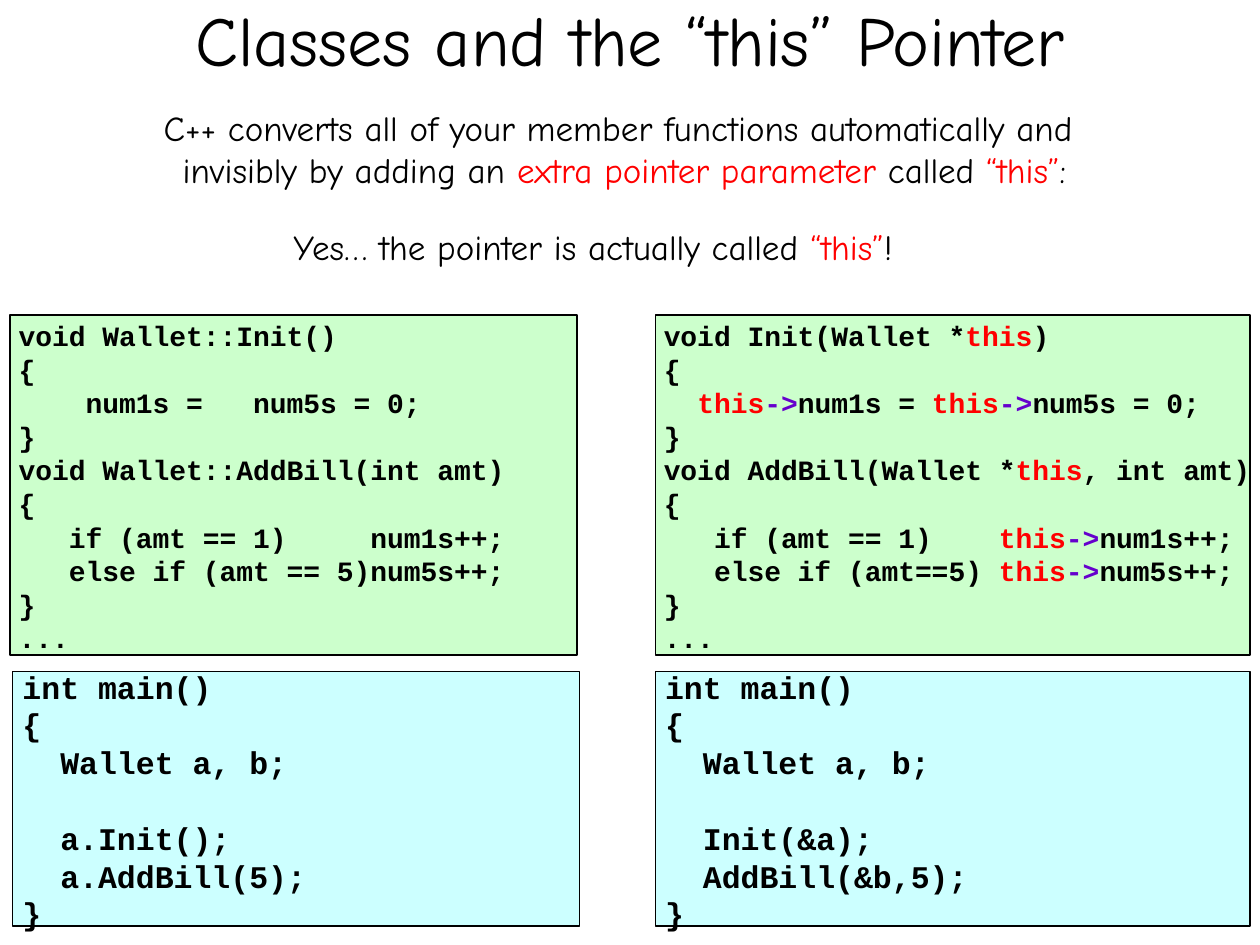
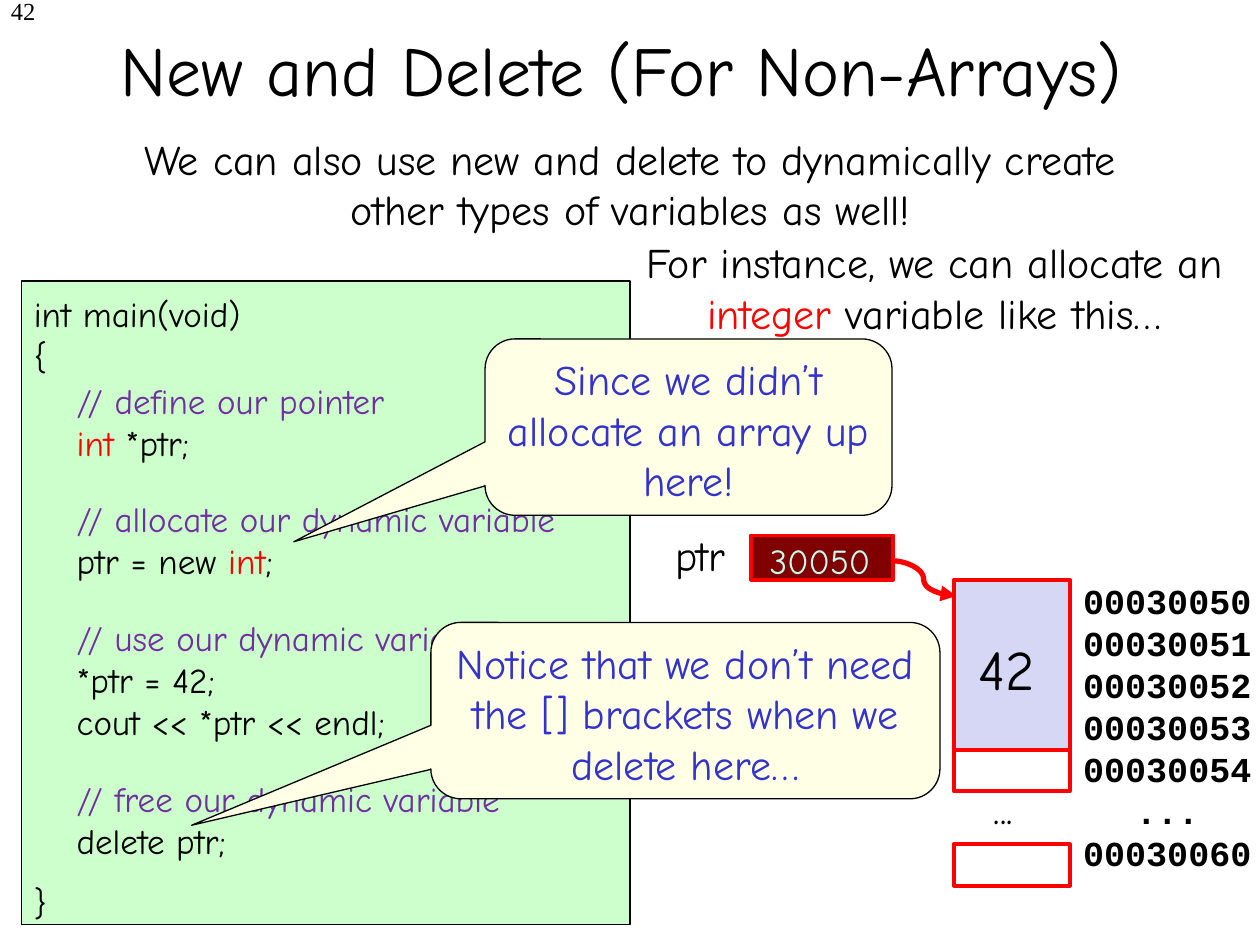
from dataclasses import dataclass
from typing import NamedTuple

import pptx
import pptx.dml.color
import pptx.enum.shapes
import pptx.enum.text
import pptx.oxml
import pptx.oxml.ns
import pptx.util

Inches = pptx.util.Inches
Pt = pptx.util.Pt
RGBColor = pptx.dml.color.RGBColor
Align = pptx.enum.text.PP_ALIGN
Anchor = pptx.enum.text.MSO_ANCHOR
Shape = pptx.enum.shapes.MSO_SHAPE

BLACK = RGBColor(0x00, 0x00, 0x00)
RED = RGBColor(0xFF, 0x00, 0x00)
VIOLET = RGBColor(0x66, 0x00, 0xCC)
PURPLE = RGBColor(0x70, 0x30, 0xA0)
BLUE = RGBColor(0x33, 0x33, 0xCC)
MINT = RGBColor(0xC2, 0xFF, 0xF0)
GREEN = RGBColor(0xCC, 0xFF, 0xCC)
CYAN = RGBColor(0xCC, 0xFF, 0xFF)
CREAM = RGBColor(0xFF, 0xFF, 0xE5)
MAROON = RGBColor(0x80, 0x00, 0x00)
LAVENDER = RGBColor(0xD6, 0xD6, 0xF5)

HAND = "Comic Neue"
CODE = "Courier New"
SERIF = "Times New Roman"


class Run(NamedTuple):
    text: str
    color: RGBColor = BLACK


class Para(NamedTuple):
    runs: tuple[Run, ...]
    before: float = 0


class Rect(NamedTuple):
    left: float
    top: float
    width: float
    height: float

    def lengths(self) -> list[pptx.util.Length]:
        return [Inches(v) for v in self]


@dataclass
class Style:
    size: float
    font: str = HAND
    bold: bool = False
    align: Align = Align.LEFT


@dataclass
class Text:
    rect: Rect
    paras: list[Para]
    style: Style
    side_margin: float = 0.1


@dataclass
class Box:
    rect: Rect
    fill: RGBColor | None
    line: RGBColor = BLACK
    weight: float = 0.75


@dataclass
class Callout:
    rect: Rect
    text: str


THIS = Run("this", RED)
ARROW = Run("->", VIOLET)
BREAK = Run("\n")

BODY = Style(20)
BODY_CENTER = Style(20, align=Align.CENTER)
LEAD = Style(24, align=Align.CENTER)
TITLE = Style(40, align=Align.CENTER)
FUNCTIONS = Style(16, CODE, True)
MAIN = Style(18, CODE, True)
ADDRESS = Style(20, CODE, True, Align.CENTER)


def para(*runs: Run | str, before: float = 0) -> Para:
    return Para(tuple(Run(r) if isinstance(r, str) else r for r in runs), before)


def lines(*texts: str) -> list[Para]:
    return [para(t) for t in texts]


def write(tf, paras: list[Para], style: Style) -> None:
    for i, item in enumerate(paras):
        p = tf.paragraphs[0] if i == 0 else tf.add_paragraph()
        p.alignment = style.align
        p.space_before = Pt(item.before)
        for run in item.runs:
            if run == BREAK:
                p.add_line_break()
                continue
            r = p.add_run()
            r.text = run.text
            r.font.name = style.font
            r.font.size = Pt(style.size)
            r.font.bold = style.bold
            r.font.color.rgb = run.color


def add_title(prs, text: str, rect: Rect, anchor: Anchor):
    slide = prs.slides.add_slide(prs.slide_layouts[5])
    sp = slide.shapes.title
    sp.left, sp.top, sp.width, sp.height = rect.lengths()
    tf = sp.text_frame
    tf.auto_size = pptx.enum.text.MSO_AUTO_SIZE.NONE
    tf.vertical_anchor = anchor
    write(tf, lines(text), TITLE)
    return slide


def add_text(slide, text: Text) -> None:
    tf = slide.shapes.add_textbox(*text.rect.lengths()).text_frame
    tf.word_wrap = True
    tf.margin_left = tf.margin_right = Inches(text.side_margin)
    write(tf, text.paras, text.style)


def add_box(slide, box: Box, kind: Shape = Shape.RECTANGLE):
    sp = slide.shapes.add_shape(kind, *box.rect.lengths())
    sp.shadow.inherit = False
    if box.fill is None:
        sp.fill.background()
    else:
        sp.fill.solid()
        sp.fill.fore_color.rgb = box.fill
    sp.line.color.rgb = box.line
    sp.line.width = Pt(box.weight)
    return sp


def add_callout(slide, callout: Callout) -> None:
    sp = add_box(slide, Box(callout.rect, CREAM), Shape.ROUNDED_RECTANGULAR_CALLOUT)
    for i, value in enumerate((-0.97, 0.65, 0.17)):
        sp.adjustments[i] = value
    tf = sp.text_frame
    tf.word_wrap = True
    tf.vertical_anchor = Anchor.TOP
    write(tf, [para(Run(callout.text, BLUE))], LEAD)


def add_pointer_arrow(slide) -> None:
    curve = pptx.enum.shapes.MSO_CONNECTOR.CURVE
    ends = [Inches(v) for v in (7.07, 4.45, 7.59, 4.73)]
    cx = slide.shapes.add_connector(curve, *ends)
    cx.line.color.rgb = RED
    cx.line.width = Pt(3)
    ln = cx.line._get_or_add_ln()
    ns = pptx.oxml.ns.nsdecls("a")
    ln.append(pptx.oxml.parse_xml(f'<a:tailEnd {ns} type="triangle"/>'))
    ln.getparent().append(pptx.oxml.parse_xml(f"<a:effectLst {ns}/>"))


def main_code(*calls: str) -> list[Para]:
    first, second = calls
    return [
        *lines("int main()", "{", "  Wallet a, b;"),
        para(f"  {first}", before=21.6),
        *lines(f"  {second}", "}"),
    ]


def build_this_slide(prs) -> None:
    slide = add_title(prs, "Classes and the “this” Pointer",
                      Rect(0.75, -0.08, 8.5, 1.25), Anchor.TOP)
    member_code = lines(
        "void Wallet::Init()", "{", "    num1s =   num5s = 0;", "}",
        "void Wallet::AddBill(int amt)", "{",
        "   if (amt == 1)     num1s++;",
        "   else if (amt == 5)num5s++;", "}", "...",
    )
    converted_code = [
        para("void Init(Wallet *", THIS, ")"),
        para("{"),
        para("  ", THIS, ARROW, "num1s = ", THIS, ARROW, "num5s = 0;"),
        para("}"),
        para("void AddBill(Wallet *", THIS, ", int amt)"),
        para("{"),
        para("   if (amt == 1)    ", THIS, ARROW, "num1s++;"),
        para("   else if (amt==5) ", THIS, ARROW, "num5s++;"),
        *lines("}", "..."),
    ]
    for box in (
        Box(Rect(0.08, 2.5, 4.5, 2.7), GREEN),
        Box(Rect(0.1, 5.33, 4.5, 2.02), CYAN),
        Box(Rect(5.2, 2.5, 4.72, 2.7), GREEN),
        Box(Rect(5.2, 5.33, 4.72, 2.02), CYAN),
    ):
        add_box(slide, box)
    for left, code in ((0.05, member_code), (5.17, converted_code)):
        add_text(slide, Text(Rect(left, 2.48, 5, 2.77), code, FUNCTIONS))
    for left, calls in (
        (0.08, ("a.Init();", "a.AddBill(5);")),
        (5.18, ("Init(&a);", "AddBill(&b,5);")),
    ):
        add_text(slide, Text(Rect(left, 5.25, 4.52, 2.2), main_code(*calls), MAIN))

    quoted = Run("“this”", RED)
    intro = para(
        "C++ converts all of your member functions automatically and ", BREAK,
        "invisibly by adding an ", Run("extra pointer parameter ", RED),
        "called ", quoted, ":",
    )
    add_text(slide, Text(Rect(0.08, 0.8, 9.75, 0.77), [intro], BODY_CENTER))
    yes = para("Yes… the pointer is actually called ", quoted, "!")
    add_text(slide, Text(Rect(2.23, 1.74, 5.54, 0.44), [yes], BODY))


def build_new_slide(prs) -> None:
    slide = add_title(prs, "New and Delete (For Non-Arrays)",
                      Rect(0.31, -0.08, 9.24, 1.25), Anchor.MIDDLE)
    add_text(slide, Text(Rect(0, -0.08, 0.28, 0.5), lines("42"),
                         Style(14, SERIF, align=Align.RIGHT), side_margin=0))
    add_text(slide, Text(Rect(0.96, 1.01, 8.08, 0.91), lines(
        "We can also use new and delete to dynamically create "
        "other types of variables as well!"), LEAD))
    add_text(slide, Text(Rect(5, 1.83, 4.83, 0.91), [
        para("For instance, we can allocate an ", Run("integer", RED),
             " variable like this…")], LEAD))

    add_box(slide, Box(Rect(0.17, 2.23, 4.83, 5.11), GREEN))
    add_text(slide, Text(Rect(0.17, 2.27, 1.97, 5.15), [
        *lines("int main(void)", "{"), para("}", before=288)], BODY))
    keyword = Run("int", RED)
    steps = (
        (2.96, "// define our pointer", [para(keyword, " *ptr;")]),
        (3.9, "// allocate our dynamic variable", [para("ptr = new ", keyword, ";")]),
        (4.84, "// use our dynamic variable", lines("*ptr = 42;", "cout << *ptr << endl;")),
        (6.12, "// free our dynamic variable", lines("delete ptr;")),
    )
    for top, comment, code in steps:
        paras = [para(Run(comment, PURPLE)), *code]
        rect = Rect(0.51, top, 4.35, 0.1 + 0.33 * len(paras))
        add_text(slide, Text(rect, paras, BODY))

    for callout in (
        Callout(Rect(3.42, 4.94, 4.04, 1.4),
                "Notice that we don’t need the [] brackets when we delete here…"),
        Callout(Rect(3.85, 2.69, 3.23, 1.4),
                "Since we didn’t allocate an array up here!"),
    ):
        add_callout(slide, callout)

    for rect, fill in (
        (Rect(5.96, 4.25, 1.13, 0.35), MAROON),
        (Rect(7.57, 5.95, 0.92, 0.33), None),
        (Rect(7.57, 6.7, 0.92, 0.33), None),
        (Rect(7.57, 4.6, 0.92, 1.35), LAVENDER),
    ):
        add_box(slide, Box(rect, fill, RED, 2.25))
    addresses = [f"000300{n}" for n in range(50, 55)] + ["...", "00030060"]
    add_text(slide, Text(Rect(8.5, 4.55, 1.53, 2.77), lines(*addresses),
                         ADDRESS, side_margin=0))
    for rect, run, size in (
        (Rect(5.26, 4.15, 0.7, 0.51), Run("ptr"), 24),
        (Rect(7.79, 6.16, 0.45, 0.5), Run("..."), 24),
        (Rect(6.01, 4.23, 1.06, 0.44), Run("30050", MINT), 20),
        (Rect(7.67, 4.99, 0.75, 0.64), Run("42"), 32),
    ):
        add_text(slide, Text(rect, [para(run)], Style(size)))
    add_pointer_arrow(slide)


def main() -> None:
    prs = pptx.Presentation()
    prs.slide_width, prs.slide_height = Inches(10), Inches(7.5)
    build_this_slide(prs)
    build_new_slide(prs)
    prs.save("out.pptx")


if __name__ == "__main__":
    main()
